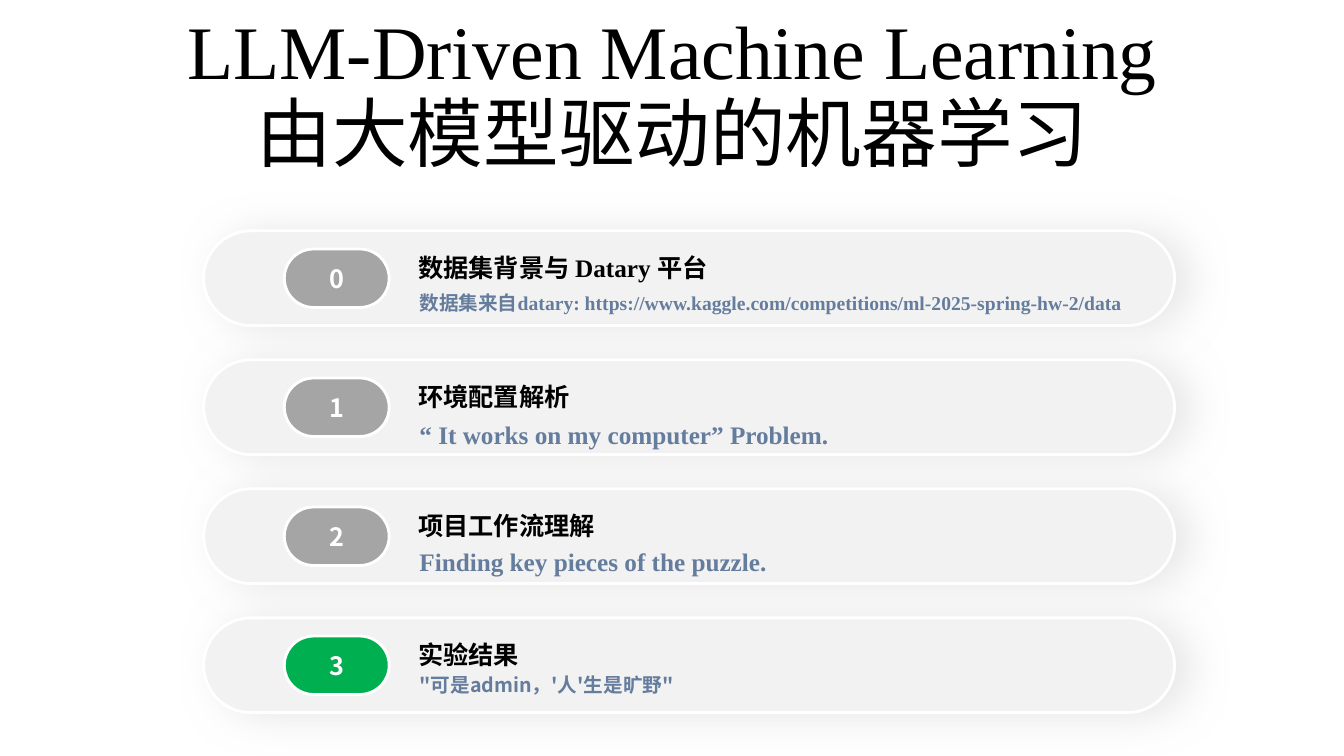
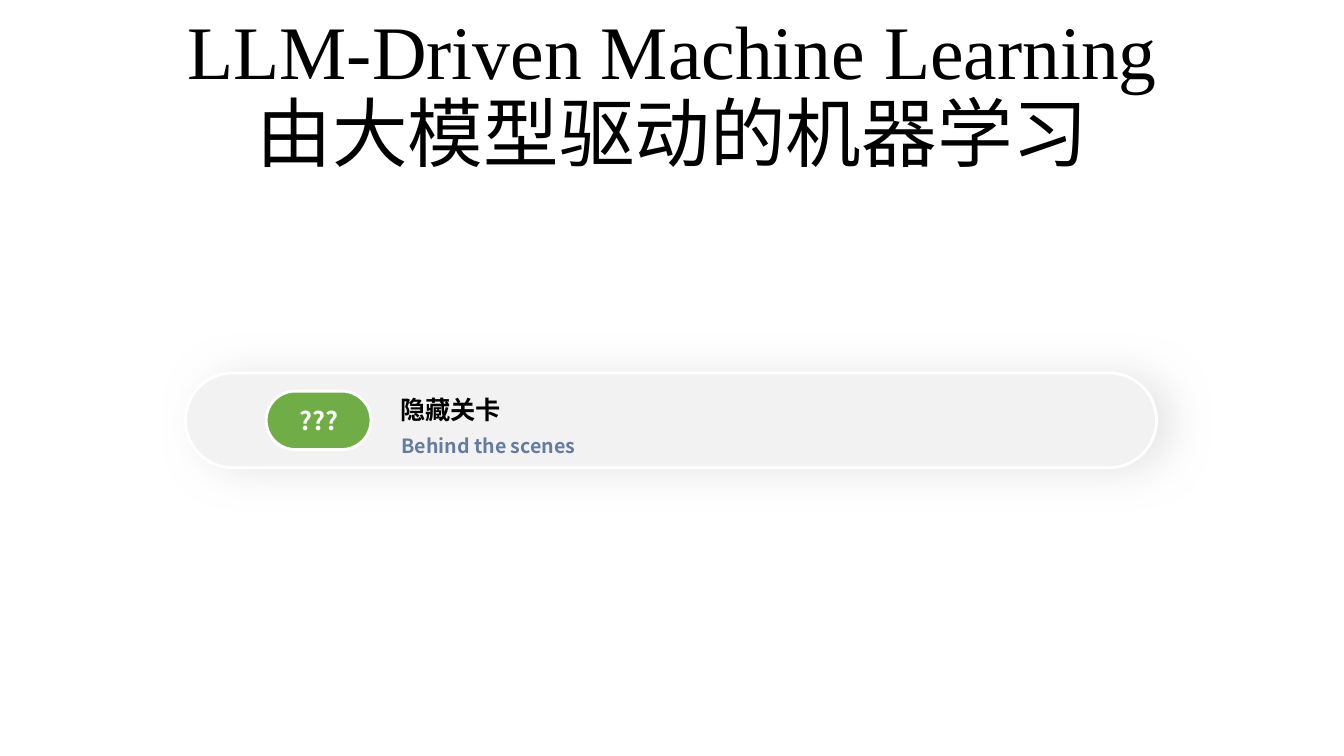
from dataclasses import dataclass

import pptx
import pptx.dml.color
import pptx.enum.shapes
import pptx.enum.text
import pptx.oxml
import pptx.oxml.ns
import pptx.util
from pptx.util import Inches

COLORS = {
    "text": "000000",
    "white": "FFFFFF",
    "bar": "F2F2F2",
    "shadow": "E6E6E6",
    "subtitle": "657D9D",
    "done": "A5A5A5",
    "current": "00B050",
    "hidden": "70AD47",
}
SERIF = "Times New Roman"
SANS = "Noto Sans CJK SC"
TITLE = "LLM-Driven Machine Learning\v由大模型驱动的机器学习"
AGENDA_LEFT, AGENDA_TOP, AGENDA_PITCH = 2.02, 2.29, 1.28


@dataclass(frozen=True)
class Section:
    number: str
    heading: str
    subtitle: str
    badge: str = "done"
    subtitle_font: str = SERIF
    subtitle_size: int = 18
    subtitle_drop: float = 0.36


AGENDA = [
    Section("0", "数据集背景与 Datary 平台",
            "数据集来自datary: https://www.kaggle.com/competitions/ml-2025-spring-hw-2/data",
            subtitle_size=14, subtitle_drop=0.41),
    Section("1", "环境配置解析", "“ It works on my computer” Problem.",
            subtitle_drop=0.38),
    Section("2", "项目工作流理解", "Finding key pieces of the puzzle."),
    Section("3", "实验结果", "\"可是admin，'人'生是旷野\"", "current", SANS, 14),
]
HIDDEN_LEVEL = Section("???", "隐藏关卡", "Behind the scenes", "hidden", SANS, 14, 0.41)


def rgb(name: str) -> pptx.dml.color.RGBColor:
    return pptx.dml.color.RGBColor.from_string(COLORS[name])


def write(tf, text: str, size: int, color: str, font: str,
          bold: bool = True, centred: bool = False, spacing: float = 1.0) -> None:
    tf.text = text
    tf.word_wrap = True
    p = tf.paragraphs[0]
    p.line_spacing = spacing
    align = pptx.enum.text.PP_ALIGN
    p.alignment = align.CENTER if centred else align.LEFT
    for r in p.runs:
        r.font.size = pptx.util.Pt(size)
        r.font.bold = bold
        r.font.name = font
        r.font.color.rgb = rgb(color)
        ea = pptx.oxml.parse_xml(
            f'<a:ea {pptx.oxml.ns.nsdecls("a")} typeface="{SANS}"/>')
        r.font._element.find(pptx.oxml.ns.qn("a:latin")).addnext(ea)


def add_pill(shapes, left: float, top: float, width: float, height: float, fill: str):
    sp = shapes.add_shape(pptx.enum.shapes.MSO_SHAPE.ROUNDED_RECTANGLE,
                          Inches(left), Inches(top), Inches(width), Inches(height))
    sp.adjustments[0] = 0.5
    sp.shadow.inherit = False
    sp.fill.solid()
    sp.fill.fore_color.rgb = rgb(fill)
    sp.line.color.rgb = rgb("white")
    sp.line.width = pptx.util.Pt(2)
    return sp


def add_soft_shadow(sp) -> None:
    effects = sp._element.spPr.find(pptx.oxml.ns.qn("a:effectLst"))
    effects.append(pptx.oxml.parse_xml(
        f'<a:outerShdw {pptx.oxml.ns.nsdecls("a")} blurRad="{pptx.util.Pt(30)}" '
        f'dist="{pptx.util.Pt(10)}" dir="0" algn="ctr" rotWithShape="0">'
        f'<a:srgbClr val="{COLORS["shadow"]}"/></a:outerShdw>'))


def add_label(shapes, left: float, top: float, height: float):
    box = shapes.add_textbox(Inches(left), Inches(top), Inches(7.63), Inches(height))
    return box.text_frame


def add_section(slide, section: Section, left: float, top: float) -> None:
    shapes = slide.shapes.add_group_shape().shapes
    add_soft_shadow(add_pill(shapes, left, top, 9.63, 0.94, "bar"))

    badge = add_pill(shapes, left + 0.8, top + 0.18, 1.04, 0.58, section.badge)
    badge.text_frame.vertical_anchor = pptx.enum.text.MSO_ANCHOR.MIDDLE
    write(badge.text_frame, section.number, 18, "white", SANS, centred=True)

    heading = add_label(shapes, left + 2.03, top + 0.16, 0.4)
    write(heading, section.heading, 18, "text", SERIF)

    tf = add_label(shapes, left + 2.02, top + section.subtitle_drop, 0.51)
    tf.margin_left = tf.margin_right = tf.margin_top = tf.margin_bottom = Inches(0.12)
    write(tf, section.subtitle, section.subtitle_size, "subtitle",
          section.subtitle_font, spacing=1.3)


def add_titled_slide(prs):
    slide = prs.slides.add_slide(prs.slide_layouts[5])
    title = slide.shapes.title
    title.left, title.top = Inches(1.67), Inches(0.8)
    title.width, title.height = Inches(10), Inches(1.01)
    tf = title.text_frame
    tf.auto_size = pptx.enum.text.MSO_AUTO_SIZE.NONE
    tf.vertical_anchor = pptx.enum.text.MSO_ANCHOR.BOTTOM
    write(tf, TITLE, 54, "text", SERIF, bold=False, centred=True, spacing=0.9)
    return slide


def main() -> None:
    prs = pptx.Presentation()
    prs.slide_width, prs.slide_height = Inches(13.33), Inches(7.5)

    agenda = add_titled_slide(prs)
    for i, section in enumerate(AGENDA):
        add_section(agenda, section, AGENDA_LEFT, AGENDA_TOP + i * AGENDA_PITCH)

    add_section(add_titled_slide(prs), HIDDEN_LEVEL, 1.84, 3.7)
    prs.save("out.pptx")


if __name__ == "__main__":
    main()
